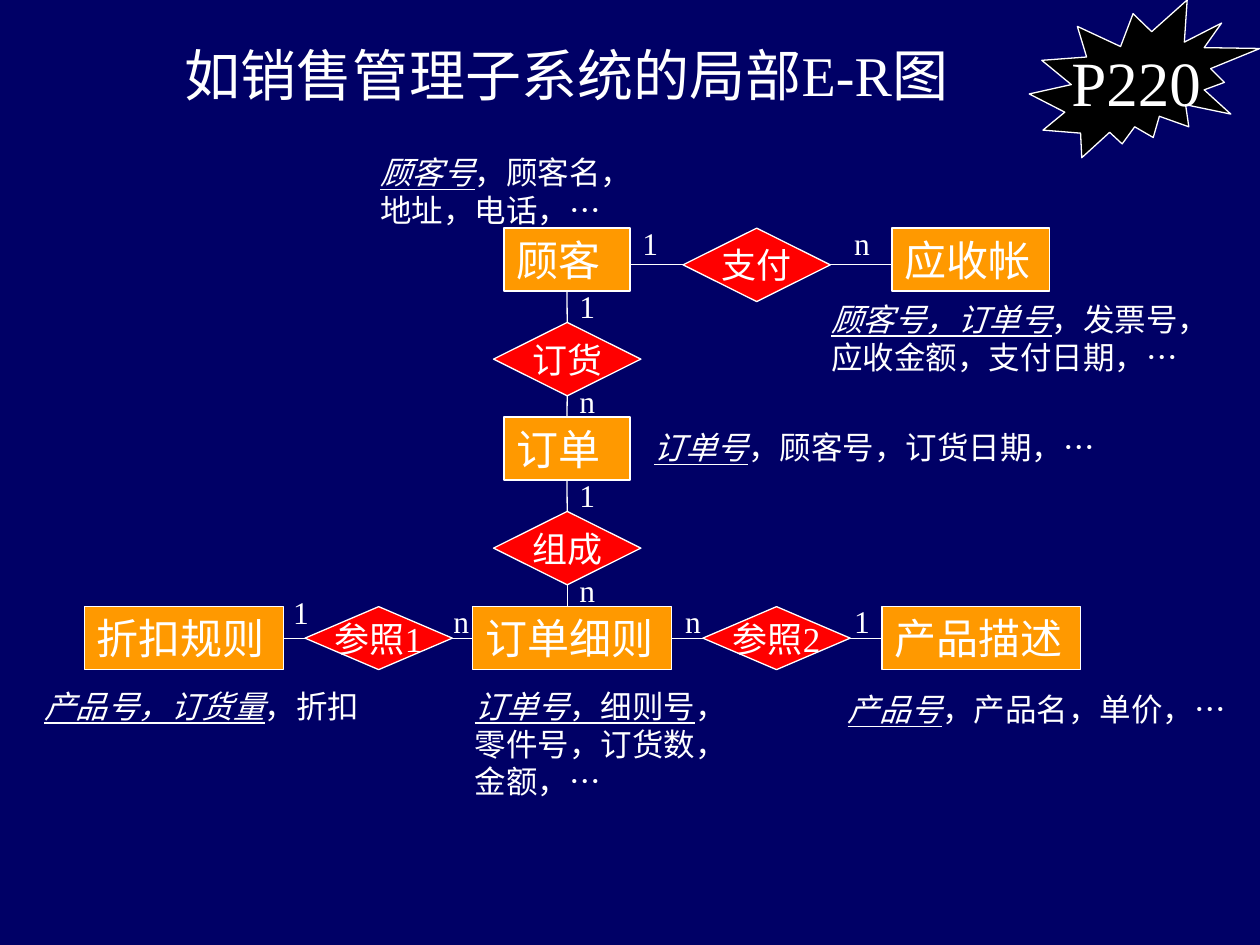
from lxml.etree import SubElement
from pptx import Presentation
from pptx.dml.color import RGBColor
from pptx.enum.shapes import MSO_CONNECTOR, MSO_SHAPE
from pptx.enum.text import MSO_ANCHOR, MSO_AUTO_SIZE, PP_ALIGN
from pptx.oxml.ns import qn
from pptx.util import Cm, Pt

# Content; lengths in centimetres
FONT = "Times New Roman"
NAVY, WHITE, ORANGE, RED, BLACK = "000066", "FFFFFF", "FF9900", "FF0000", "000000"
TOP, LEFT, BOTTOM, RIGHT = range(4)
PLAIN, UNDERLINED, KEY = range(3)  # KEY is underlined and italic

TITLE = ("如销售管理子系统的局部E-R图", 3.48, 0.69, 16.43, 1.63)
BADGE = ("P220", 20.75, 0, 4.65, 3.18)

ROW_1, ROW_2, ROW_3 = 4.6, 8.41, 12.23
ENTITY_HEIGHT = 1.27
DIAMOND_WIDTH = 2.97

# name: left, top, width
ENTITIES = {
    "顾客": (10.16, ROW_1, 2.54),
    "应收帐": (17.98, ROW_1, 3.18),
    "订单": (10.16, ROW_2, 2.54),
    "订单细则": (9.53, ROW_3, 4.01),
    "折扣规则": (1.7, ROW_3, 4.01),
    "产品描述": (17.78, ROW_3, 4.01),
}

# name: left, top, height, then for each link: side, entity, cardinality, label left and top
RELATIONS = {
    "组成": (9.95, 10.31, 1.48, [(TOP, "订单", "1", 11.43, 9.47),
                               (BOTTOM, "订单细则", "n", 11.43, 11.38)]),
    "参照1": (6.15, ROW_3, 1.27, [(LEFT, "折扣规则", "1", 5.66, 11.84),
                                (RIGHT, "订单细则", "n", 8.89, 12.01)]),
    "参照2": (14.17, ROW_3, 1.27, [(LEFT, "订单细则", "n", 13.56, 12.01),
                                 (RIGHT, "产品描述", "1", 16.97, 12.01)]),
    "订货": (9.95, 6.5, 1.48, [(TOP, "顾客", "1", 11.43, 5.66),
                             (BOTTOM, "订单", "n", 11.43, 7.57)]),
    "支付": (13.77, ROW_1, 1.48, [(LEFT, "顾客", "1", 12.7, 4.39),
                                (RIGHT, "应收帐", "n", 16.97, 4.39)]),
}

# left, top, width, lines of (text, style)
ATTRIBUTES = [
    (7.42, 2.97, 5.59, [[("顾客号", KEY), ("，顾客名，", PLAIN)],
                        [("地址，电话，…", PLAIN)]]),
    (16.51, 5.92, 8.13, [[("顾客号，订单号", KEY), ("，发票号，", PLAIN)],
                         [("应收金额，支付日期，…", PLAIN)]]),
    (12.93, 8.51, 9.4, [[("订单号", KEY), ("，顾客号，订货日期，…", PLAIN)]]),
    (9.32, 13.72, 5.59, [[("订单号", KEY), ("，细则号", UNDERLINED), ("，", PLAIN)],
                         [("零件号，订货数，", PLAIN)],
                         [("金额，…", PLAIN)]]),
    (16.84, 13.79, 8.13, [[("产品号", KEY), ("，产品名，单价，…", PLAIN)]]),
    (0.64, 13.72, 6.86, [[("产品号，订货量", KEY), ("，折扣", PLAIN)]]),
]


def color(value):
    return RGBColor.from_string(value)


def write(frame, lines, size, align=PP_ALIGN.LEFT):
    for index, line in enumerate(lines):
        para = frame.add_paragraph() if index else frame.paragraphs[0]
        para.alignment = align
        para.font.name = FONT
        para.font.size = Pt(size)
        para.font.color.rgb = color(WHITE)
        for text, style in line:
            span = para.add_run()
            span.text = text
            if style != PLAIN:
                span.font.underline = True
            if style == KEY:
                span.font.italic = True


def add_text(page, lines, size, left, top, width, height):
    box = page.shapes.add_textbox(Cm(left), Cm(top), Cm(width), Cm(height))
    box.text_frame.word_wrap = False
    box.text_frame.auto_size = MSO_AUTO_SIZE.SHAPE_TO_FIT_TEXT
    write(box.text_frame, lines, size)


def add_figure(page, kind, fill, text, size, left, top, width, height, centred=True):
    figure = page.shapes.add_shape(kind, Cm(left), Cm(top), Cm(width), Cm(height))
    figure.shadow.inherit = False
    figure.fill.solid()
    figure.fill.fore_color.rgb = color(fill)
    figure.line.color.rgb = color(WHITE)
    figure.line.width = Pt(0.75)
    frame = figure.text_frame
    frame.word_wrap = not centred
    frame.vertical_anchor = MSO_ANCHOR.MIDDLE if centred else MSO_ANCHOR.TOP
    align = PP_ALIGN.CENTER if centred else PP_ALIGN.LEFT
    write(frame, [[(text, PLAIN)]], size, align)
    return figure


def side_middle(shape, side):
    x = {LEFT: 0, RIGHT: shape.width}.get(side, shape.width // 2)
    y = {TOP: 0, BOTTOM: shape.height}.get(side, shape.height // 2)
    return shape.left + x, shape.top + y


def add_link(page, diamond, side, entity):
    """Run straight out of the diamond; join the entity where its side middle is met."""
    facing = (side + 2) % 4
    start = side_middle(diamond, side)
    middle = side_middle(entity, facing)
    end = (start[0], middle[1]) if side in (TOP, BOTTOM) else (middle[0], start[1])
    line = page.shapes.add_connector(MSO_CONNECTOR.STRAIGHT, *start, *end)
    line.begin_connect(diamond, side)
    if max(abs(a - b) for a, b in zip(end, middle)) < Cm(0.03):
        line.end_connect(entity, facing)
    line.line.color.rgb = color(WHITE)
    line.line.width = Pt(0.75)
    SubElement(line._element.spPr, qn("a:effectLst"))


def main():
    deck = Presentation()
    deck.slide_width, deck.slide_height = Cm(25.4), Cm(19.05)
    page = deck.slides.add_slide(deck.slide_layouts[6])
    page.background.fill.solid()
    page.background.fill.fore_color.rgb = color(NAVY)

    # Title
    title, *place = TITLE
    add_text(page, [[(title, PLAIN)]], 32, *place)

    # Entities
    entities = {
        name: add_figure(page, MSO_SHAPE.RECTANGLE, ORANGE, name, 24,
                         left, top, width, ENTITY_HEIGHT, centred=False)
        for name, (left, top, width) in ENTITIES.items()
    }

    # Relations with their links and cardinalities
    for name, (left, top, height, links) in RELATIONS.items():
        diamond = add_figure(page, MSO_SHAPE.DIAMOND, RED, name, 20,
                             left, top, DIAMOND_WIDTH, height)
        for side, entity, cardinality, label_left, label_top in links:
            add_link(page, diamond, side, entities[entity])
            add_text(page, [[(cardinality, PLAIN)]], 18, label_left, label_top, 0.81, 1.02)

    # Attribute lists
    for left, top, width, lines in ATTRIBUTES:
        add_text(page, lines, 18, left, top, width, 0.25 + 0.76 * len(lines))

    # Page badge
    badge, *place = BADGE
    add_figure(page, MSO_SHAPE.EXPLOSION2, BLACK, badge, 36, *place)

    deck.save("out.pptx")


if __name__ == "__main__":
    main()
